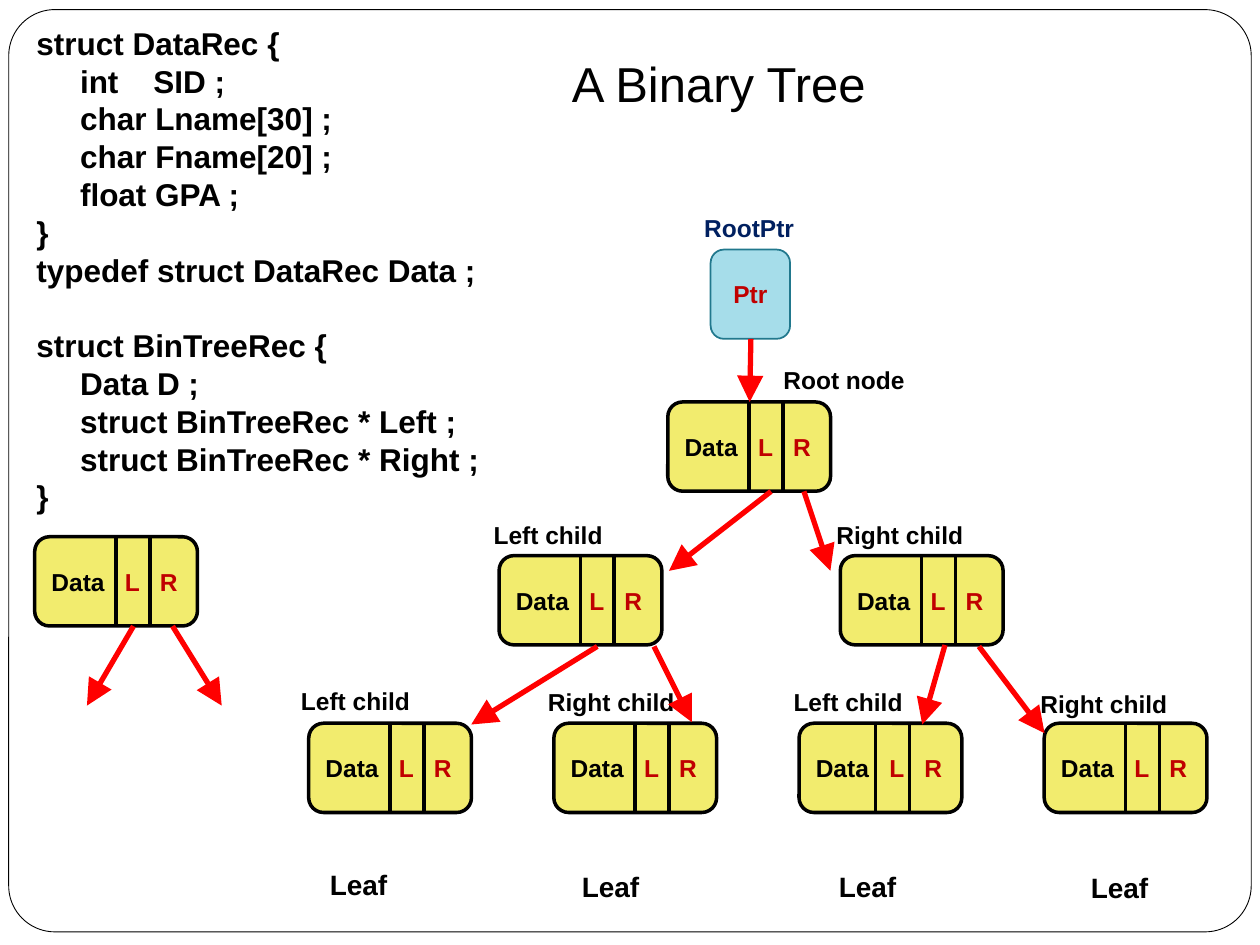
import pptx
import pptx.dml.color
import pptx.enum.shapes
import pptx.enum.text
import pptx.oxml
import pptx.oxml.ns
import pptx.util
from lxml import etree

Pt = pptx.util.Pt
qn = pptx.oxml.ns.qn
ROUNDED = pptx.enum.shapes.MSO_SHAPE.ROUNDED_RECTANGLE
STRAIGHT = pptx.enum.shapes.MSO_CONNECTOR.STRAIGHT
MIDDLE = pptx.enum.text.MSO_ANCHOR.MIDDLE
LEFT = pptx.enum.text.PP_ALIGN.LEFT
CENTER = pptx.enum.text.PP_ALIGN.CENTER

BLACK, WHITE, RED, DARK_RED = "000000", "FFFFFF", "FF0000", "C00000"
NODE_WIDTH, NODE_HEIGHT = 93, 51
LEAF_TOP = 413.3
LEAF_LEFTS = [176.4 + 140.1 * index for index in range(4)]

CODE = """struct DataRec {
     int    SID ;
     char Lname[30] ;
     char Fname[20] ;
     float GPA ;
}
typedef struct DataRec Data ;

struct BinTreeRec {
     Data D ;
     struct BinTreeRec * Left ;
     struct BinTreeRec * Right ;
}"""

INNER_NODES = [(19.8, 306.7), (381.6, 229.7), (285.2, 317.5), (480.2, 317.5)]

# text, left, top, width
CAPTIONS = [
    ("Root node", 440.6, 205.2, 92),
    ("Left child", 275, 293.5, 77),
    ("Right child", 470.9, 293.5, 96),
    ("Left child", 164.9, 388.3, 77),
    ("Right child", 306, 389.3, 92),
    ("Left child", 446.4, 388.8, 77),
    ("Right child", 587.5, 390, 92),
]

LEAF_CAPTIONS = [(181.4, 492.5), (325.4, 493.2), (472.3, 493.2), (616.3, 493.9)]

# start x, start y, end x, end y
POINTERS = [
    (76.3, 357.8, 49.7, 403.2),
    (98.6, 357.8, 126.7, 403.2),
    (429.1, 193.7, 428.4, 229.7),
    (440.6, 280.8, 382.3, 326.2),
    (459.4, 280.8, 474.5, 326.2),
    (341.3, 369.4, 269.3, 414),
    (373.7, 369.4, 395.3, 412.6),
    (540, 368.6, 527, 414),
    (559.4, 369.4, 596.9, 419),
]


def color(hex_string):
    return pptx.dml.color.RGBColor.from_string(hex_string)


class TreeSlide:
    font_name = "Arial"

    def __init__(self, slide):
        self.slide = slide

    def style(self, font, size, hex_string, bold=True):
        font.name = self.font_name
        font.size = Pt(size)
        font.bold = bold
        font.color.rgb = color(hex_string)

    def box(self, left, top, width, height, fill, line, line_width):
        shape = self.slide.shapes.add_shape(
            ROUNDED, Pt(left), Pt(top), Pt(width), Pt(height))
        shape.shadow.inherit = False
        shape.fill.solid()
        shape.fill.fore_color.rgb = color(fill)
        shape.line.color.rgb = color(line)
        shape.line.width = Pt(line_width)
        shape.text_frame.vertical_anchor = MIDDLE
        return shape

    def text(self, content, left, top, width, height, size,
             hex_string=BLACK, bold=True, wrap=True):
        shape = self.slide.shapes.add_textbox(
            Pt(left), Pt(top), Pt(width), Pt(height))
        frame = shape.text_frame
        frame.word_wrap = wrap
        frame.text = content
        for paragraph in frame.paragraphs:
            self.style(paragraph.font, size, hex_string, bold)

    def line(self, x1, y1, x2, y2, hex_string, width, arrow=False):
        connector = self.slide.shapes.add_connector(
            STRAIGHT, Pt(x1), Pt(y1), Pt(x2), Pt(y2))
        connector.line.color.rgb = color(hex_string)
        connector.line.width = Pt(width)
        if arrow:
            etree.SubElement(connector.line._get_or_add_ln(), qn("a:tailEnd"),
                             type="triangle", w="lg", len="lg")
        etree.SubElement(connector._element.spPr, qn("a:effectLst"))

    def node(self, left, top, divider=46.5):
        """Draw a record with a data field and two pointer fields."""
        shape = self.box(left, top, NODE_WIDTH, NODE_HEIGHT, "F2EC6E", BLACK, 2)
        paragraph = shape.text_frame.paragraphs[0]
        paragraph.alignment = LEFT
        tabs = etree.SubElement(paragraph._p.get_or_add_pPr(), qn("a:tabLst"))
        for position in (42, 62):
            etree.SubElement(tabs, qn("a:tab"), pos=str(Pt(position)), algn="l")
        for content, hex_string in (("Data\t", BLACK), ("L\tR", DARK_RED)):
            run = paragraph.add_run()
            run.text = content
            self.style(run.font, 14, hex_string)
        for x in (left + divider, left + divider + 19.3):
            self.line(x, top, x, top + NODE_HEIGHT, BLACK, 2)

    def root_pointer(self):
        shape = self.box(406.1, 142.6, 45.4, 51, "A6DDEA", "21788D", 1)
        paragraph = shape.text_frame.paragraphs[0]
        paragraph.text = "Ptr"
        paragraph.alignment = CENTER
        self.style(paragraph.font, 14, DARK_RED)
        self.text("RootPtr", 395.3, 118.1, 67, 24.5, 14, "002060")


def main():
    presentation = pptx.Presentation()
    presentation.slide_width = Pt(720)
    presentation.slide_height = Pt(540)
    tree = TreeSlide(presentation.slides.add_slide(presentation.slide_layouts[6]))

    frame = tree.box(5, 5.5, 710, 527, WHITE, BLACK, 0.5)
    frame.adjustments[0] = 0.05
    tree.text("A Binary Tree", 319.7, 27, 184.3, 41, 28, bold=False, wrap=False)
    tree.text(CODE, 13.7, 10.1, 270, 291, 18, wrap=False)

    for left, top in INNER_NODES:
        tree.node(left, top)
    for index, left in enumerate(LEAF_LEFTS):
        tree.node(left, LEAF_TOP, divider=43.7 if index == 2 else 46.5)
    tree.root_pointer()

    for content, left, top, width in CAPTIONS:
        tree.text(content, left, top, width, 24.5, 14)
    for left, top in LEAF_CAPTIONS:
        tree.text("Leaf", left, top, 47.5, 26.6, 16, wrap=False)
    for pointer in POINTERS:
        tree.line(*pointer, RED, 3, arrow=True)

    presentation.save("out.pptx")


if __name__ == "__main__":
    main()
